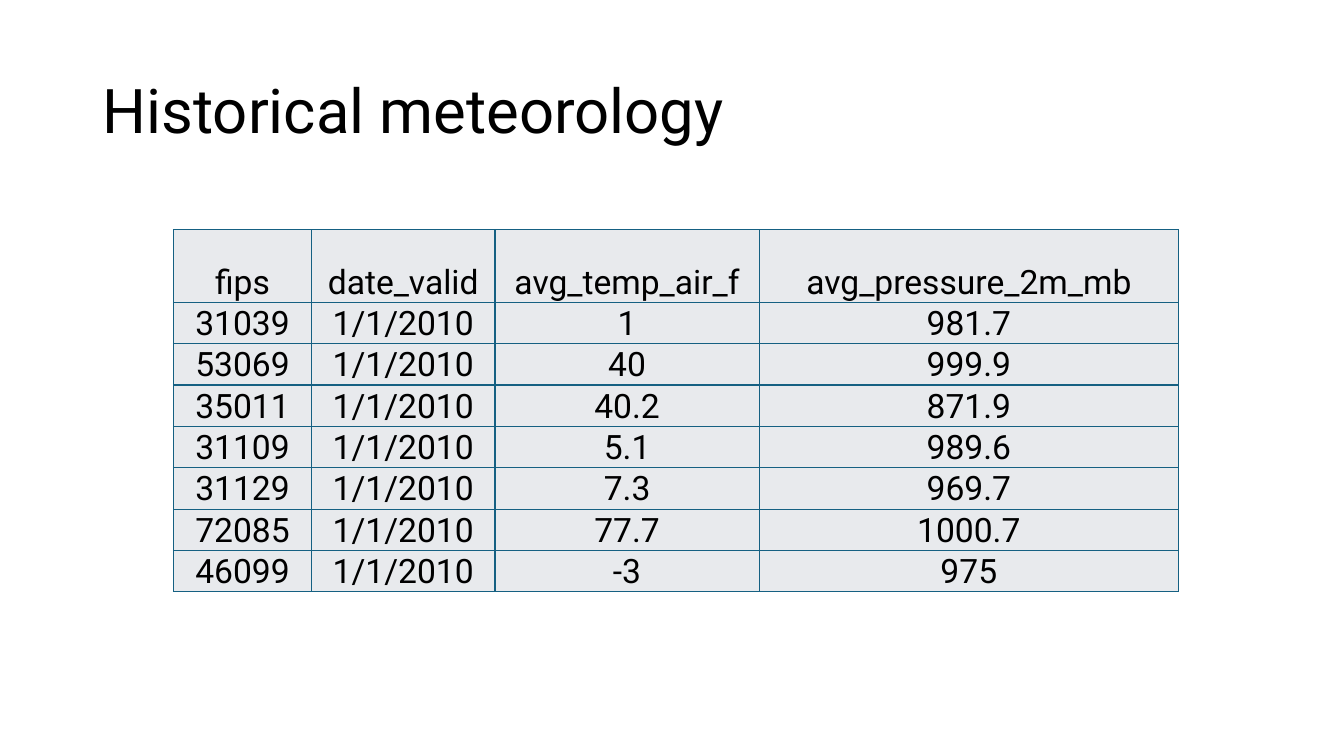
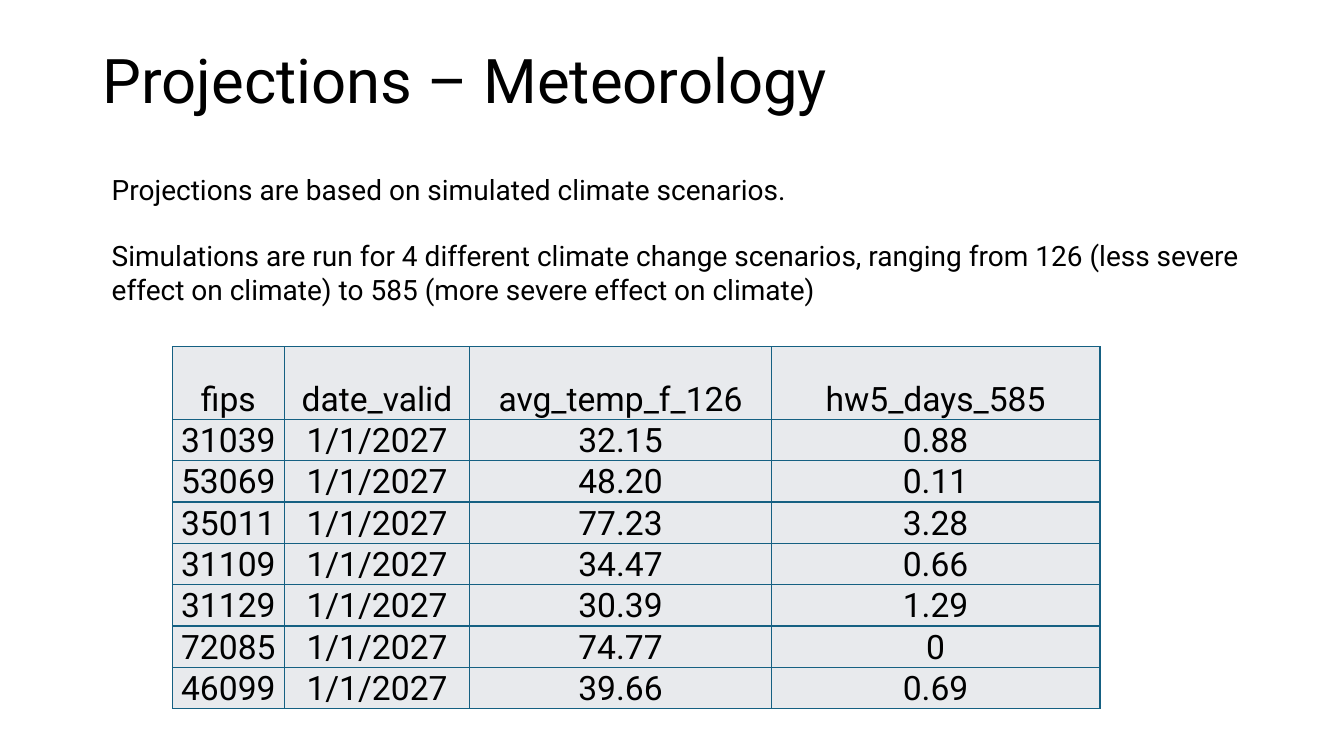
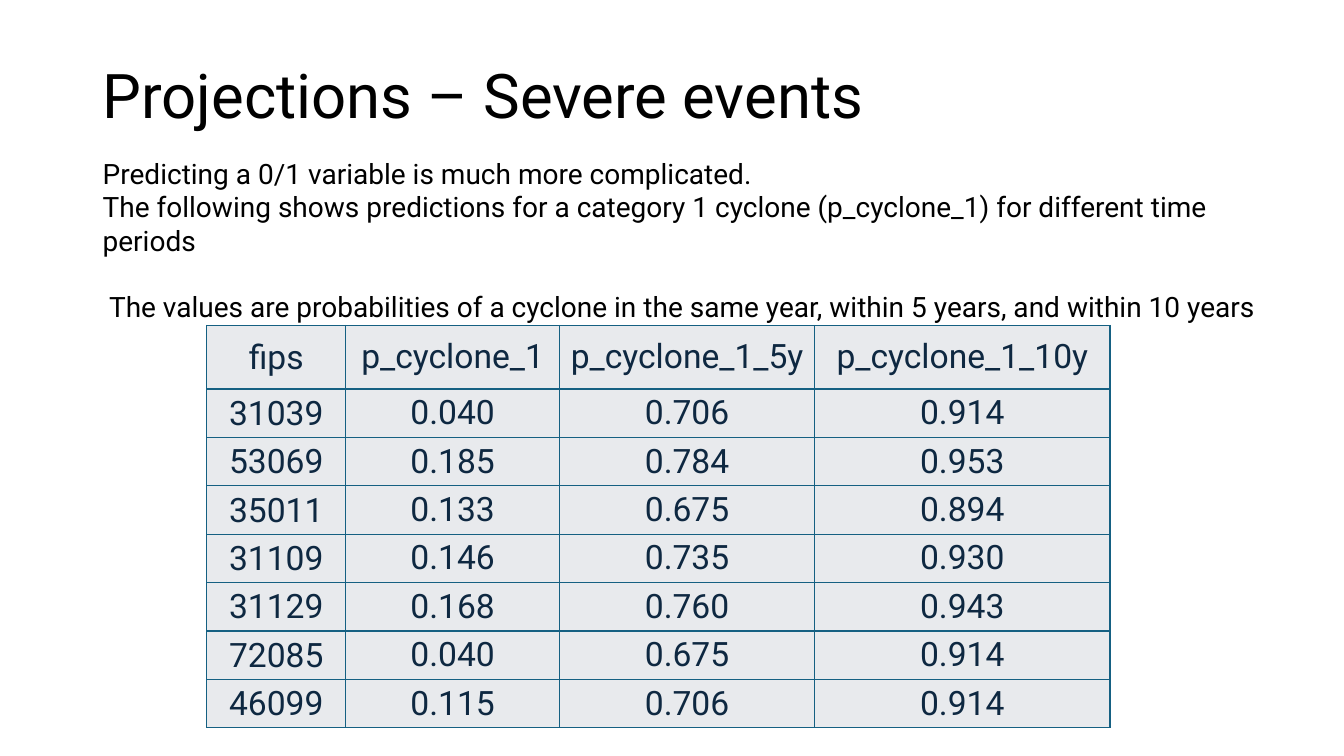
from lxml import etree
from pptx import Presentation
from pptx.dml.color import RGBColor
from pptx.enum.text import MSO_ANCHOR, PP_ALIGN
from pptx.oxml.ns import qn
from pptx.util import Inches, Pt

CENTER = PP_ALIGN.CENTER
MIDDLE, BOTTOM = MSO_ANCHOR.MIDDLE, MSO_ANCHOR.BOTTOM

FONT = "Roboto"
COLORS = {"text": "000000", "navy": "0E2841", "cell": "E8EAED", "border": "156082"}
BODY_LINE = Pt(23.4)
TIGHT = (0.01, 0.01, 0.01, 0)
ROOMY = (0.05, 0.04, 0.05, 0.04)

SLIDES = [
    {
        "title": "Historical meteorology",
        "title_top": 0.4,
        "table_at": (1.72, 2.28),
        "columns": [1.37, 1.82, 2.62, 4.16],
        "row_heights": (0.72, 0.37),
        "anchor": BOTTOM,
        "value_margins": TIGHT,
        "color": "text",
        "rows": [
            ["fips", "date_valid", "avg_temp_air_f", "avg_pressure_2m_mb"],
            ["31039", "1/1/2010", "1", "981.7"],
            ["53069", "1/1/2010", "40", "999.9"],
            ["35011", "1/1/2010", "40.2", "871.9"],
            ["31109", "1/1/2010", "5.1", "989.6"],
            ["31129", "1/1/2010", "7.3", "969.7"],
            ["72085", "1/1/2010", "77.7", "1000.7"],
            ["46099", "1/1/2010", "-3", "975"],
        ],
    },
    {
        "title": "Projections – Meteorology",
        "title_top": 0.1,
        "table_at": (1.71, 3.44),
        "columns": [1.11, 1.84, 2.99, 3.26],
        "row_heights": (0.72, 0.37),
        "anchor": BOTTOM,
        "value_margins": TIGHT,
        "color": "text",
        "rows": [
            ["fips", "date_valid", "avg_temp_f_126", "hw5_days_585"],
            ["31039", "1/1/2027", "32.15", "0.88"],
            ["53069", "1/1/2027", "48.20", "0.11"],
            ["35011", "1/1/2027", "77.23", "3.28"],
            ["31109", "1/1/2027", "34.47", "0.66"],
            ["31129", "1/1/2027", "30.39", "1.29"],
            ["72085", "1/1/2027", "74.77", "0"],
            ["46099", "1/1/2027", "39.66", "0.69"],
        ],
        "body_at": (1.01, 1.66, 11.66, 1.78),
        "body": [
            "Projections are based on simulated climate scenarios.",
            "Simulations are run for 4 different climate change scenarios, ranging from 126 "
            "(less severe effect on climate) to 585 (more severe effect on climate)",
        ],
    },
    {
        "title": "Projections – Severe events",
        "title_top": 0.25,
        "table_at": (2.05, 3.23),
        "columns": [1.38, 2.12, 2.53, 2.93],
        "row_heights": (0.63, 0.42),
        "anchor": MIDDLE,
        "value_margins": ROOMY,
        "color": "navy",
        "rows": [
            ["fips", "p_cyclone_1", "p_cyclone_1_5y", "p_cyclone_1_10y"],
            ["31039", "0.040", "0.706", "0.914"],
            ["53069", "0.185", "0.784", "0.953"],
            ["35011", "0.133", "0.675", "0.894"],
            ["31109", "0.146", "0.735", "0.930"],
            ["31129", "0.168", "0.760", "0.943"],
            ["72085", "0.040", "0.675", "0.914"],
            ["46099", "0.115", "0.706", "0.914"],
        ],
        "body_at": (0.92, 1.5, 11.97, 1.73),
        "body": [
            "Predicting a 0/1 variable is much more complicated.",
            "The following shows predictions for a category 1 cyclone (p_cyclone_1) "
            "for different time periods",
            " The values are probabilities of a cyclone in the same year, within 5 years, "
            "and within 10 years",
        ],
    },
]


def add_run(paragraph, text, size, color):
    run = paragraph.add_run()
    run.text = text
    run.font.name = FONT
    run.font.size = Pt(size)
    run.font.color.rgb = RGBColor.from_string(COLORS[color])


def format_cell(cell, margins, anchor):
    """Set margins, anchor, four borders and fill; borders must precede the fill."""
    cell.margin_left, cell.margin_top, cell.margin_right, cell.margin_bottom = map(Inches, margins)
    cell.vertical_anchor = anchor
    properties = cell._tc.get_or_add_tcPr()
    for side in ("a:lnL", "a:lnR", "a:lnT", "a:lnB"):
        line = etree.SubElement(properties, qn(side), w=str(Pt(1)))
        line_fill = etree.SubElement(line, qn("a:solidFill"))
        etree.SubElement(line_fill, qn("a:srgbClr"), val=COLORS["border"])
    cell.fill.solid()
    cell.fill.fore_color.rgb = RGBColor.from_string(COLORS["cell"])


presentation = Presentation()
presentation.slide_width = Inches(13.33)
presentation.slide_height = Inches(7.5)
blank_layout = presentation.slide_layouts[6]

for content in SLIDES:
    slide = presentation.slides.add_slide(blank_layout)

    title = slide.shapes.add_textbox(
        Inches(0.92), Inches(content["title_top"]), Inches(11.5), Inches(1.45))
    title.text_frame.word_wrap = True
    title.text_frame.vertical_anchor = MIDDLE
    paragraph = title.text_frame.paragraphs[0]
    paragraph.line_spacing = 0.9
    add_run(paragraph, content["title"], 44, "text")

    rows, columns = content["rows"], content["columns"]
    header_height, row_height = content["row_heights"]
    left, top = content["table_at"]
    table = slide.shapes.add_table(
        len(rows), len(columns), Inches(left), Inches(top), Inches(sum(columns)),
        Inches(header_height + row_height * (len(rows) - 1))).table
    table.first_row = False
    table.horz_banding = False
    for column, width in zip(table.columns, columns):
        column.width = Inches(width)
    for row_index, values in enumerate(rows):
        table.rows[row_index].height = Inches(row_height if row_index else header_height)
        for column_index, value in enumerate(values):
            cell = table.cell(row_index, column_index)
            margins = content["value_margins"] if column_index else TIGHT
            format_cell(cell, margins, content["anchor"])
            paragraph = cell.text_frame.paragraphs[0]
            paragraph.alignment = CENTER
            add_run(paragraph, value, 24, content["color"])

    if "body" in content:
        body = slide.shapes.add_textbox(*map(Inches, content["body_at"]))
        frame = body.text_frame
        frame.word_wrap = True
        for index, text in enumerate(content["body"]):
            paragraph = frame.add_paragraph() if index else frame.paragraphs[0]
            add_run(paragraph, text, 20, "text")
        paragraph.space_before = BODY_LINE

presentation.save("out.pptx")
